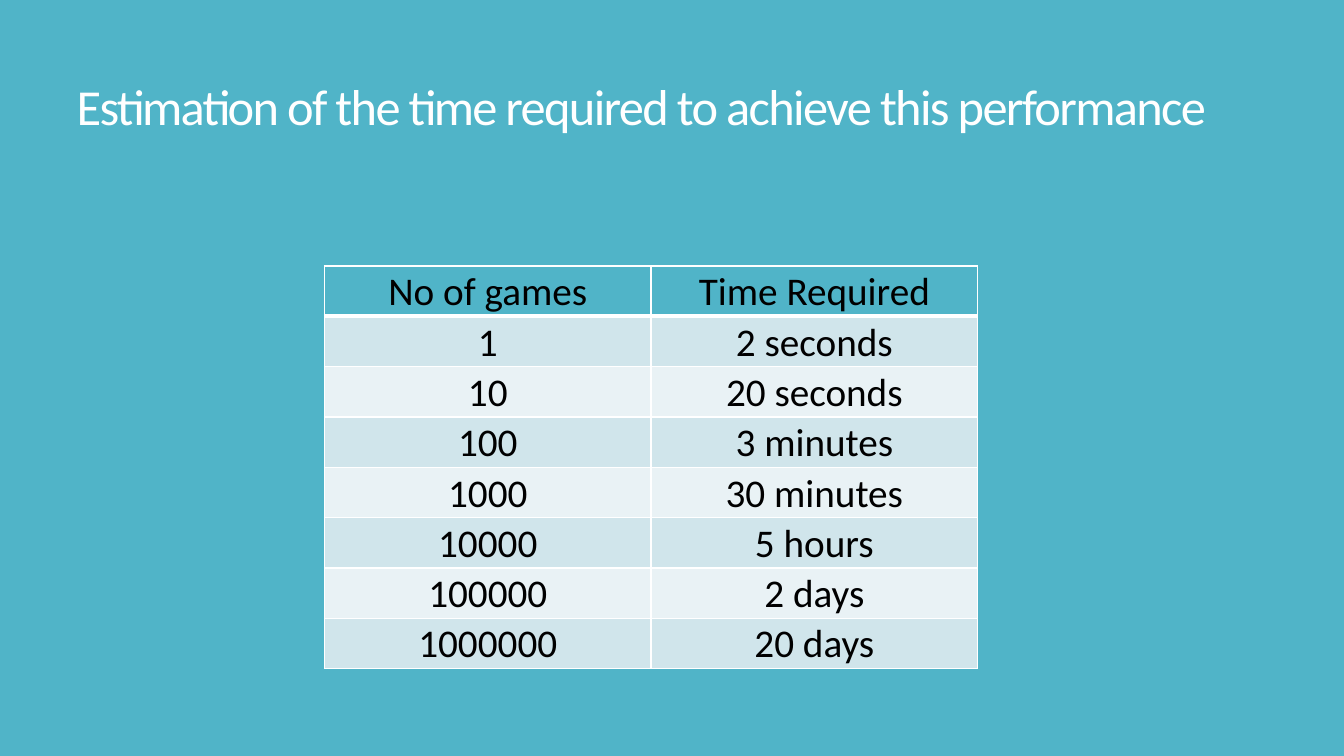
from dataclasses import dataclass

from lxml.etree import SubElement
from pptx import Presentation
from pptx.dml.color import RGBColor
from pptx.enum.text import MSO_ANCHOR, MSO_AUTO_SIZE, PP_ALIGN
from pptx.oxml.ns import qn
from pptx.slide import Slide
from pptx.table import _Cell as Cell
from pptx.util import Pt

TEAL = RGBColor(0x50, 0xB4, 0xC8)
BAND_DARK = RGBColor(0xD0, 0xE5, 0xEB)
BAND_LIGHT = RGBColor(0xE9, 0xF2, 0xF5)
WHITE = RGBColor(0xFF, 0xFF, 0xFF)
BLACK = RGBColor(0x00, 0x00, 0x00)
FONT = "Calibri"
TITLE_ONLY = 5
COLUMN_WIDTH, ROW_HEIGHT = 233.28, 35.95
THIN, THICK = 1, 3


@dataclass(frozen=True)
class Estimate:
    games: str
    time: str


ESTIMATES = [
    Estimate("No of games", "Time Required"),
    Estimate("1", "2 seconds"),
    Estimate("10", "20 seconds"),
    Estimate("100", "3 minutes"),
    Estimate("1000", "30 minutes"),
    Estimate("10000", "5 hours"),
    Estimate("100000", "2 days"),
    Estimate("1000000", "20 days"),
]


def set_borders(cell: Cell, top: float, bottom: float) -> None:
    """Draw white cell borders; the schema wants them ahead of the fill."""
    properties = cell._tc.get_or_add_tcPr()
    widths = {"a:lnL": THIN, "a:lnR": THIN, "a:lnT": top, "a:lnB": bottom}
    for position, (tag, width) in enumerate(widths.items()):
        line = SubElement(properties, qn(tag), w=str(Pt(width)))
        SubElement(SubElement(line, qn("a:solidFill")), qn("a:srgbClr"), val=str(WHITE))
        properties.insert(position, line)


def fill_cell(cell: Cell, text: str, row: int) -> None:
    cell.text = text
    cell.vertical_anchor = MSO_ANCHOR.BOTTOM
    cell.margin_left = cell.margin_right = cell.margin_top = Pt(0.72)
    cell.margin_bottom = Pt(0)
    para = cell.text_frame.paragraphs[0]
    para.alignment = PP_ALIGN.CENTER
    para.font.name, para.font.size, para.font.bold = FONT, Pt(28), False
    para.font.color.rgb = BLACK
    cell.fill.solid()
    banding = BAND_DARK if row % 2 else BAND_LIGHT
    cell.fill.fore_color.rgb = TEAL if row == 0 else banding
    set_borders(cell, THICK if row == 1 else THIN, THICK if row == 0 else THIN)


def add_title(page: Slide, text: str) -> None:
    title = page.shapes.title
    title.left, title.top, title.width, title.height = Pt(47.5), Pt(38.2), Pt(849), Pt(62)
    frame = title.text_frame
    frame.text = text
    frame.word_wrap = True
    frame.auto_size = MSO_AUTO_SIZE.NONE
    frame.vertical_anchor = MSO_ANCHOR.BOTTOM
    para = frame.paragraphs[0]
    para.alignment = PP_ALIGN.LEFT
    para.line_spacing = 0.8
    para.font.name, para.font.size = FONT, Pt(36)
    para.font.color.rgb = WHITE
    para.runs[0]._r.get_or_add_rPr().set("spc", "-120")


def add_estimates(page: Slide, estimates: list[Estimate]) -> None:
    count = len(estimates)
    table = page.shapes.add_table(
        count, 2, Pt(231.8), Pt(190), Pt(2 * COLUMN_WIDTH), Pt(count * ROW_HEIGHT)
    ).table
    for column in table.columns:
        column.width = Pt(COLUMN_WIDTH)
    for row, estimate in enumerate(estimates):
        table.rows[row].height = Pt(ROW_HEIGHT)
        for column, text in enumerate((estimate.games, estimate.time)):
            fill_cell(table.cell(row, column), text, row)


def main() -> None:
    deck = Presentation()
    deck.slide_width, deck.slide_height = Pt(960), Pt(540)
    page = deck.slides.add_slide(deck.slide_layouts[TITLE_ONLY])
    page.background.fill.solid()
    page.background.fill.fore_color.rgb = TEAL
    add_title(page, "Estimation of the time required to achieve this performance")
    add_estimates(page, ESTIMATES)
    deck.save("out.pptx")


if __name__ == "__main__":
    main()
